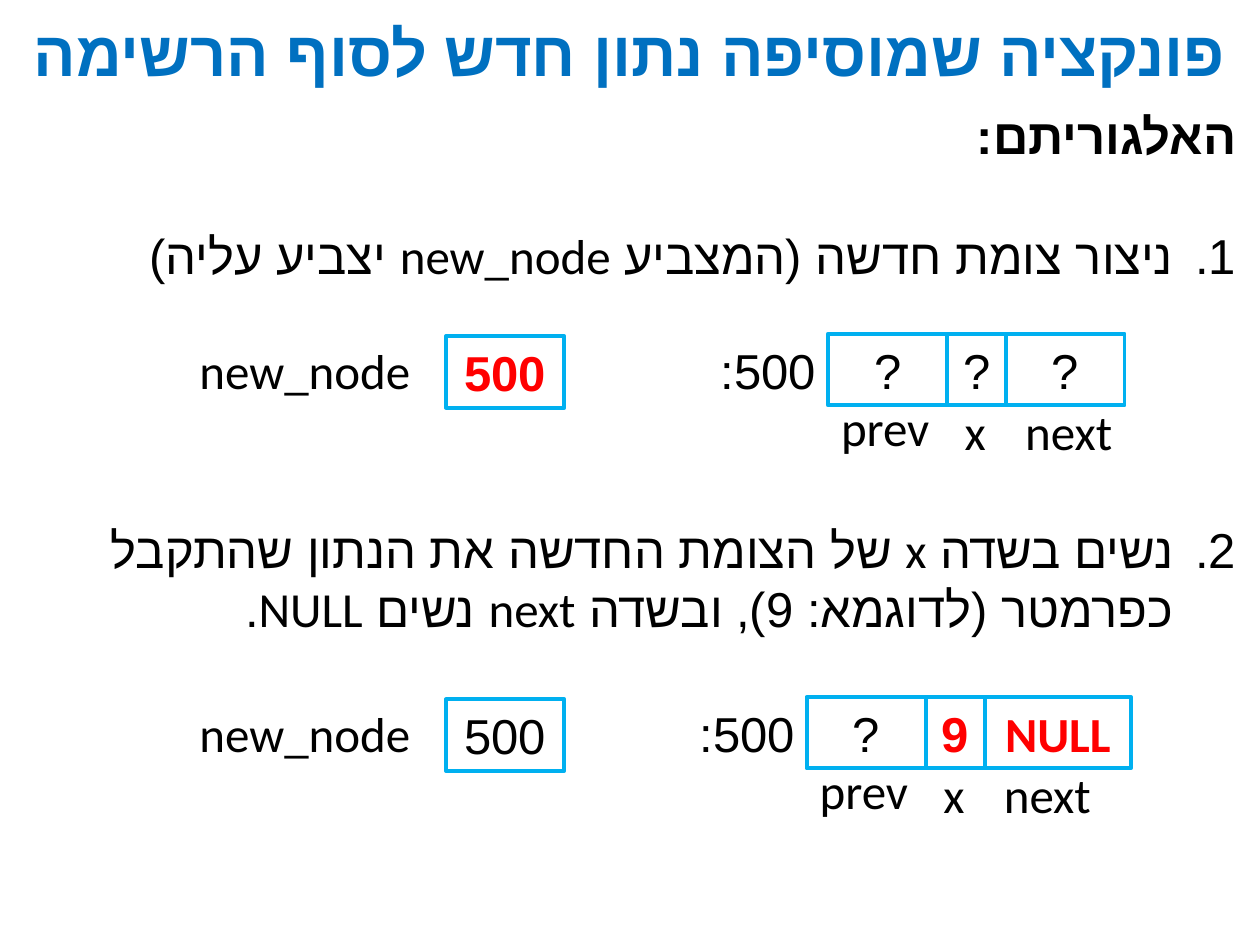
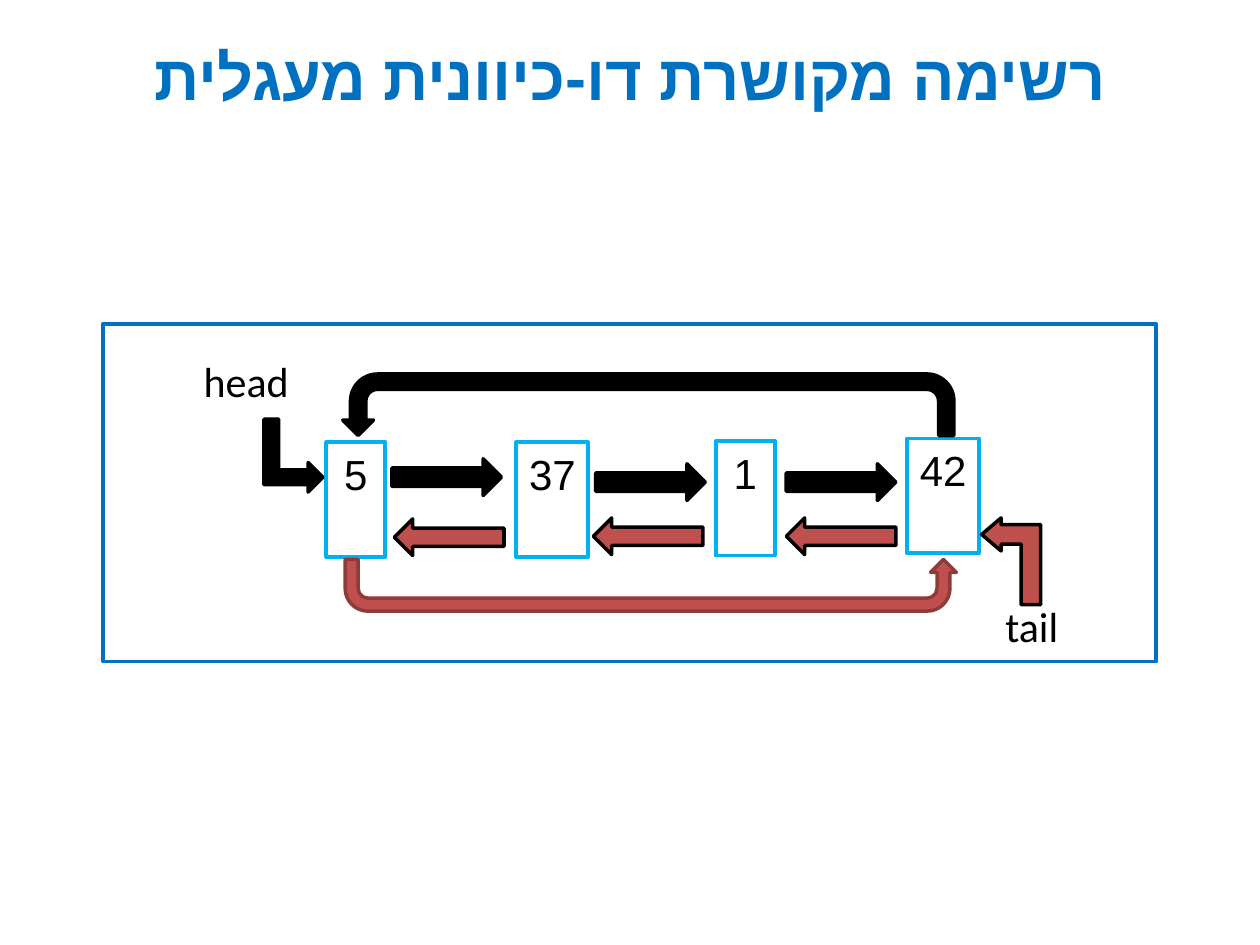
from dataclasses import dataclass
from typing import Optional

from lxml.etree import SubElement
from pptx import Presentation
from pptx.dml.color import RGBColor
from pptx.enum.shapes import MSO_SHAPE
from pptx.enum.text import MSO_ANCHOR, PP_ALIGN
from pptx.oxml.ns import qn
from pptx.util import Cm, Pt

BLACK, RED, BLUE, SKY = "000000", "FF0000", "0070C0", "00B0F0"
BRICK, DARK_BRICK = "C0504D", "8E3B39"
HEBREW_FONT = "Arial"
UTURN_BENDS = (0.25, 0.25, 0.25, 0.44, 1)


@dataclass
class Area:
    left: float
    top: float
    width: float
    height: float

    def lengths(self) -> tuple:
        return Cm(self.left), Cm(self.top), Cm(self.width), Cm(self.height)


@dataclass
class Style:
    size: int = 28
    color: str = BLACK
    bold: bool = False
    font: str = "Calibri"


@dataclass
class Arrow:
    kind: MSO_SHAPE
    area: Area
    fill: str = BLACK
    line: str = BLACK
    rotation: int = 0
    flipped: bool = False
    bends: tuple = ()


@dataclass
class Step:
    """One state of the new node: field texts, and which values are new."""
    left: float
    top: float
    fields: tuple
    next_width: float
    changed: tuple


TITLE = Style(36, BLUE, True, "Arial")
PLAIN = Style()
CHANGED = Style(color=RED, bold=True)
NODE = Style(24)


def rgb(color: str) -> RGBColor:
    return RGBColor.from_string(color)


# Text
def write(para, text: str, style: Style, align=PP_ALIGN.CENTER) -> None:
    para.alignment = align
    para._p.get_or_add_pPr().set("rtl", "1")
    span = para.add_run()
    span.text = text
    span.font.size = Pt(style.size)
    span.font.bold = style.bold
    span.font.color.rgb = rgb(style.color)
    span.font.name = style.font
    SubElement(span._r.get_or_add_rPr(), qn("a:cs"), typeface=HEBREW_FONT)


def number(para, start: int) -> None:
    properties = para._p.get_or_add_pPr()
    properties.set("marL", str(Cm(1.27)))
    properties.set("indent", str(-Cm(1.27)))
    SubElement(properties, qn("a:buAutoNum"), type="arabicPeriod", startAt=str(start))


def fill_text(shape, text: str, style: Style, anchor=MSO_ANCHOR.TOP) -> None:
    frame = shape.text_frame
    frame.word_wrap = True
    frame.margin_left = frame.margin_right = 0
    frame.vertical_anchor = anchor
    write(frame.paragraphs[0], text, style)


def add_label(page, area: Area, text: str, style: Style = PLAIN,
              anchor=MSO_ANCHOR.TOP) -> None:
    fill_text(page.shapes.add_textbox(*area.lengths()), text, style, anchor)


def add_title(page, area: Area, text: str) -> None:
    add_label(page, area, text, TITLE, MSO_ANCHOR.MIDDLE)


# Shapes
def add_outline(page, area: Area, color: str = SKY, weight: float = 2.25):
    box = page.shapes.add_shape(MSO_SHAPE.RECTANGLE, *area.lengths())
    box.shadow.inherit = False
    box.fill.background()
    box.line.color.rgb = rgb(color)
    box.line.width = Pt(weight)
    return box


def add_cell(page, area: Area, text: str, style: Style) -> None:
    fill_text(add_outline(page, area), text, style)


def add_arrow(page, arrow: Arrow) -> None:
    shape = page.shapes.add_shape(arrow.kind, *arrow.area.lengths())
    shape.shadow.inherit = False
    shape.fill.solid()
    shape.fill.fore_color.rgb = rgb(arrow.fill)
    shape.line.color.rgb = rgb(arrow.line)
    shape.line.width = Pt(2)
    shape.rotation = arrow.rotation
    for index, bend in enumerate(arrow.bends):
        shape.adjustments[index] = bend
    if arrow.flipped:
        shape._element.spPr.find(qn("a:xfrm")).set("flipV", "1")


# Slide 1: adding a node at the end of the list
def add_step(page, step: Step) -> None:
    height = 1.44
    left = step.left
    for text, width in zip(step.fields, (2.41, 1.18, step.next_width)):
        style = CHANGED if text in step.changed else PLAIN
        add_cell(page, Area(left, step.top, width, height), text, style)
        left += width
    for name, shift, drop, width in (("prev", -0.1, 1.16, 2.51),
                                     ("x", 2.07, 1.23, 1.8),
                                     ("next", 3.6, 1.24, 2.51)):
        add_label(page, Area(step.left + shift, step.top + drop, width, height), name)

    address = "500"
    add_label(page, Area(step.left - 2.43, step.top, 2.46, height), address + ":")
    add_cell(page, Area(8.99, step.top + 0.05, 2.39, height), address,
             CHANGED if address in step.changed else PLAIN)
    add_label(page, Area(3.58, step.top, 5.13, height), "new_node")


def build_algorithm(page) -> None:
    add_title(page, Area(0.05, 0, 25.3, 2.06), "פונקציה שמוסיפה נתון חדש לסוף הרשימה")

    body = page.shapes.add_textbox(*Area(0.2, 2.01, 24.97, 11.02).lengths())
    frame = body.text_frame
    frame.word_wrap = True
    write(frame.paragraphs[0], "האלגוריתם:", Style(bold=True), PP_ALIGN.RIGHT)
    instructions: tuple[tuple[str, Optional[int]], ...] = (
        ("ניצור צומת חדשה (המצביע new_node יצביע עליה)", 35),
        ("נשים בשדה x של הצומת החדשה את הנתון שהתקבל כפרמטר (לדוגמא: 9), ובשדה next נשים NULL.", 134),
    )
    for index, (text, gap) in enumerate(instructions, start=1):
        para = frame.add_paragraph()
        number(para, index)
        para.space_before = Pt(gap)
        write(para, text, PLAIN, PP_ALIGN.RIGHT)

    add_step(page, Step(16.69, 6.73, ("?", "?", "?"), 2.39, ("500",)))
    add_step(page, Step(16.26, 14.05, ("?", "9", "NULL"), 2.95, ("9", "NULL")))


# Slide 2: circular doubly linked list
def build_circular_list(page) -> None:
    add_title(page, Area(2.31, 0.48, 20.8, 2.06), "רשימה מקושרת דו-כיוונית מעגלית")
    add_outline(page, Area(2.08, 6.53, 21.23, 6.81), BLUE, 2)

    for text, left, top in (("5", 6.58, 8.92), ("37", 10.41, 8.92),
                            ("1", 14.43, 8.89), ("42", 18.29, 8.84)):
        width = 1.19 if len(text) == 1 else 1.45
        add_cell(page, Area(left, top, width, 2.31), text, NODE)

    # Links to the following and the preceding node
    for left, top in ((7.9, 9.25), (12.01, 9.35), (15.85, 9.35)):
        add_arrow(page, Arrow(MSO_SHAPE.RIGHT_ARROW, Area(left, top, 2.21, 0.74)))
    for left, top in ((7.95, 10.46), (11.96, 10.44), (15.85, 10.44)):
        add_arrow(page, Arrow(MSO_SHAPE.RIGHT_ARROW, Area(left, top, 2.21, 0.74),
                              BRICK, rotation=180))

    # Head and tail pointers, and the links that close the circle
    for arrow in (
        Arrow(MSO_SHAPE.BENT_UP_ARROW, Area(5.18, 8.59, 1.47, 1.19), rotation=90),
        Arrow(MSO_SHAPE.BENT_UP_ARROW, Area(19.51, 10.72, 1.75, 1.19), BRICK,
              rotation=270, bends=(0.33, 0.28, 0.33)),
        Arrow(MSO_SHAPE.U_TURN_ARROW, Area(6.96, 11.28, 12.32, 1.04), BRICK,
              DARK_BRICK, flipped=True, bends=UTURN_BENDS),
        Arrow(MSO_SHAPE.U_TURN_ARROW, Area(6.91, 7.54, 12.32, 1.24),
              rotation=180, flipped=True, bends=UTURN_BENDS),
    ):
        add_arrow(page, arrow)
    add_label(page, Area(3.71, 7.04, 2.51, 1.27), "head", NODE)
    add_label(page, Area(19.71, 11.99, 2.18, 1.27), "tail", NODE)


def main() -> None:
    deck = Presentation()
    deck.slide_width, deck.slide_height = Cm(25.4), Cm(19.05)
    blank = deck.slide_layouts[6]
    for build in (build_algorithm, build_circular_list):
        build(deck.slides.add_slide(blank))
    deck.save("out.pptx")


if __name__ == "__main__":
    main()
